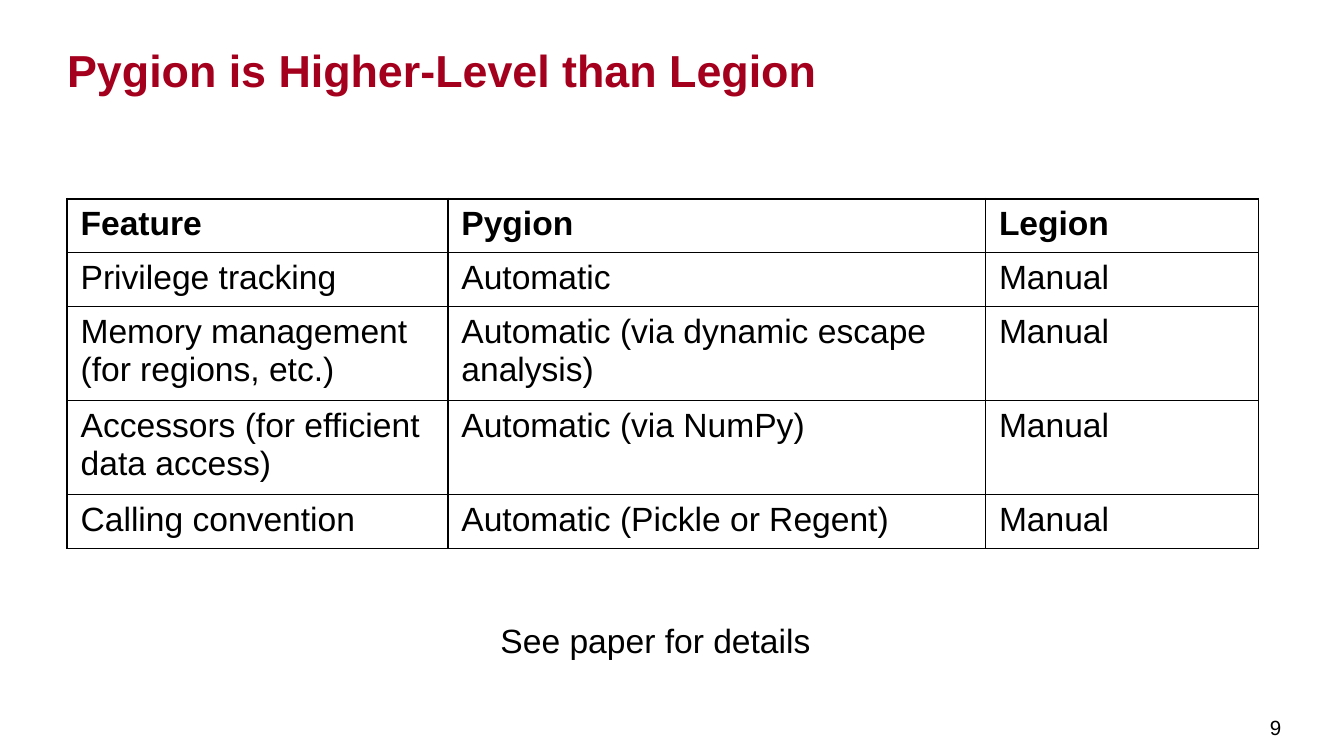
from lxml.etree import SubElement
from pptx import Presentation
from pptx.dml.color import RGBColor
from pptx.enum.text import MSO_ANCHOR
from pptx.oxml.ns import qn
from pptx.util import Pt

EMU_PER_PX = 9525  # 96 px to the inch
BLACK = "000000"
RED = "A4001D"
WHITE = "FFFFFF"


def px(length):
    return length * EMU_PER_PX


def color(hex_string):
    return RGBColor.from_string(hex_string)


class SlideBuilder:
    font_name = "Arial"
    body_size = 18

    def __init__(self, slide):
        self.slide = slide
        slide.background.fill.solid()
        slide.background.fill.fore_color.rgb = color(WHITE)

    def style(self, paragraph, size, hex_string=BLACK, bold=False):
        font = paragraph.font
        font.name = self.font_name
        font.size = Pt(size)
        font.bold = bold
        font.color.rgb = color(hex_string)

    def text(self, content, box, size=body_size, hex_string=BLACK, bold=False,
             anchor=MSO_ANCHOR.TOP, margins=None, wrap=True):
        shape = self.slide.shapes.add_textbox(*map(px, box))
        frame = shape.text_frame
        frame.word_wrap = wrap
        frame.vertical_anchor = anchor
        if margins:
            (frame.margin_left, frame.margin_top,
             frame.margin_right, frame.margin_bottom) = map(px, margins)
        paragraph = frame.paragraphs[0]
        paragraph.text = content
        self.style(paragraph, size, hex_string, bold)

    def border(self, cell):
        """Draw a 1 pt black line on all four sides of the cell."""
        properties = cell._tc.get_or_add_tcPr()
        for position, side in enumerate(("lnL", "lnR", "lnT", "lnB")):
            line = properties.makeelement(qn(f"a:{side}"), {"w": str(Pt(1))})
            fill = SubElement(line, qn("a:solidFill"))
            SubElement(fill, qn("a:srgbClr"), val=BLACK)
            properties.insert(position, line)

    def table(self, rows, left, top, widths, height):
        """Add a table whose rows are as high as their text."""
        frame = self.slide.shapes.add_table(
            len(rows), len(widths), px(left), px(top),
            px(sum(widths)), px(height))
        table = frame.table
        table.horz_banding = False
        for column, width in zip(table.columns, widths):
            column.width = px(width)
        for row in table.rows:
            row.height = 0
        frame.height = px(height)
        for row_index, values in enumerate(rows):
            for column_index, value in enumerate(values):
                cell = table.cell(row_index, column_index)
                cell.text = value
                cell.fill.background()
                self.style(cell.text_frame.paragraphs[0], self.body_size,
                           bold=row_index == 0)
                self.border(cell)


def main():
    presentation = Presentation()
    presentation.slide_width = px(960)
    presentation.slide_height = px(540)
    builder = SlideBuilder(
        presentation.slides.add_slide(presentation.slide_layouts[6]))

    builder.text("9", (899, 498, 34, 42), size=11, anchor=MSO_ANCHOR.MIDDLE,
                 margins=(8, 6, 8, 5))
    builder.text("Pygion is Higher-Level than Legion", (48, 10, 850, 59),
                 size=24, hex_string=RED, bold=True,
                 anchor=MSO_ANCHOR.BOTTOM, margins=(0, 0, 0, 0))

    features = [
        ("Feature", "Pygion", "Legion"),
        ("Privilege tracking", "Automatic", "Manual"),
        ("Memory management (for regions, etc.)",
         "Automatic (via dynamic escape analysis)", "Manual"),
        ("Accessors (for efficient data access)",
         "Automatic (via NumPy)", "Manual"),
        ("Calling convention", "Automatic (Pickle or Regent)", "Manual"),
    ]
    builder.table(features, left=48, top=142, widths=(272, 384, 195),
                  height=250)

    builder.text("See paper for details", (348, 438, 250, 38), wrap=False)
    presentation.save("out.pptx")


if __name__ == "__main__":
    main()
